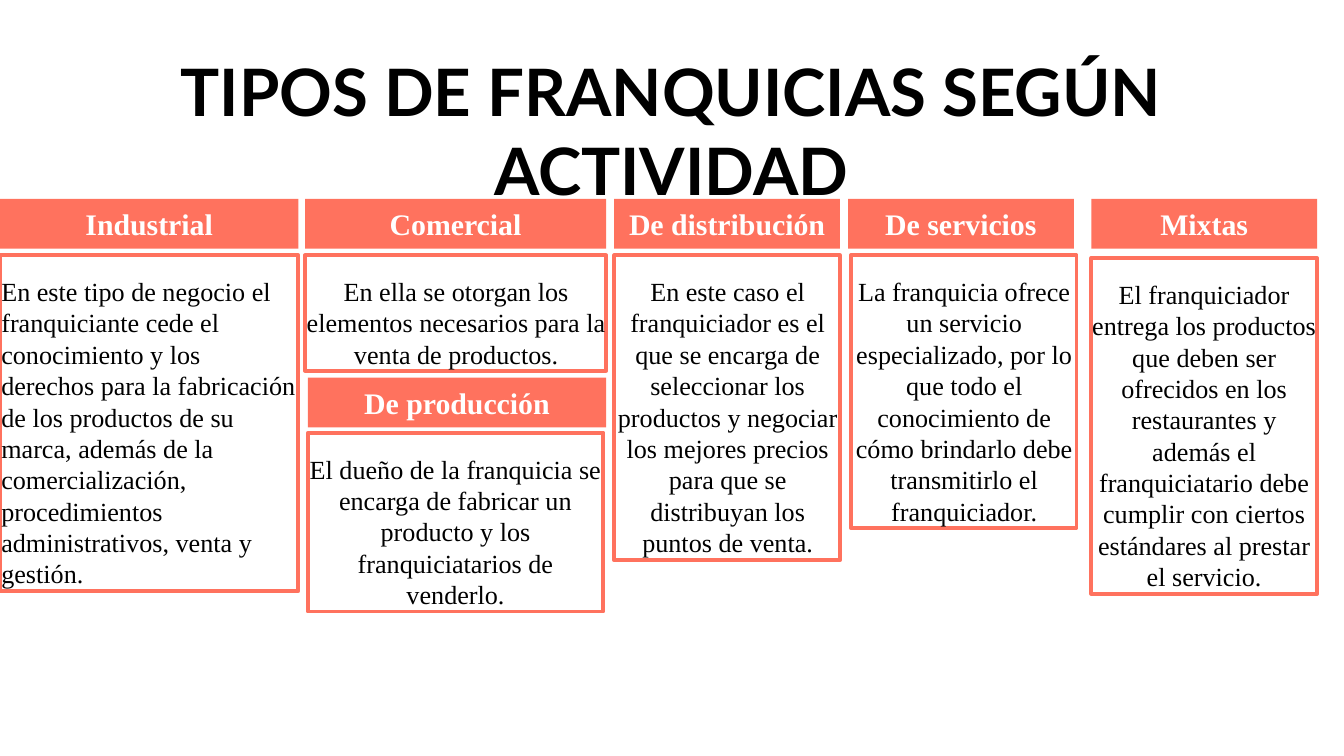
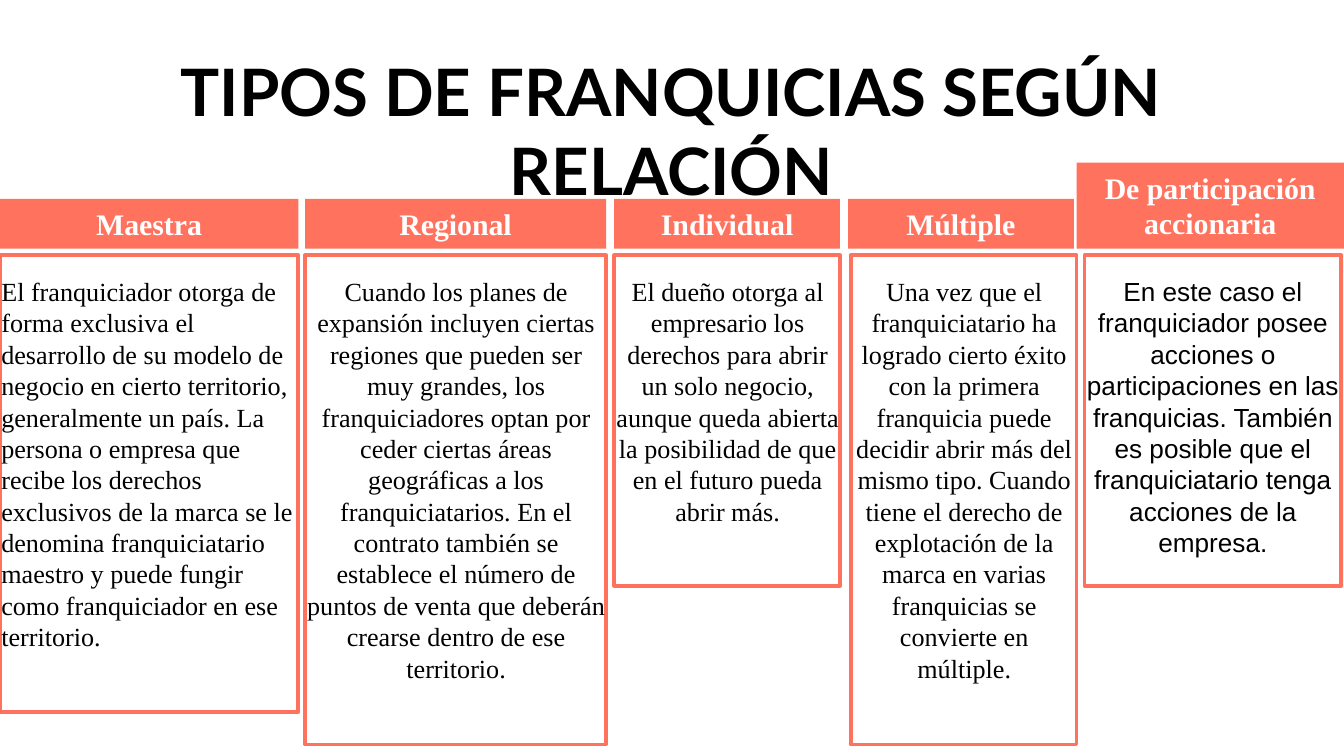
from dataclasses import dataclass

from pptx import Presentation
from pptx.dml.color import RGBColor
from pptx.enum.shapes import MSO_SHAPE
from pptx.enum.text import MSO_ANCHOR, MSO_AUTO_SIZE, PP_ALIGN
from pptx.util import Pt

PX = 9144
WIDE = 1000
RATIO = (16, 9)
TITLE = (65, 72, 869, 49)
HEAD = (148, 37)
TOP = 190


@dataclass(frozen=True)
class Theme:
    coral: RGBColor = RGBColor(0xFF, 0x72, 0x5E)
    white: RGBColor = RGBColor(0xFF, 0xFF, 0xFF)
    black: RGBColor = RGBColor(0, 0, 0)
    sans: str = "Lato"
    serif: str = "Times New Roman"
    plain: str = "Arial"
    title: int = 35
    head: int = 16
    body: int = 14
    edge: int = 2


@dataclass
class Card:
    name: str
    text: str
    col: str
    high: int
    top: int = TOP
    head: tuple = HEAD
    font: str = Theme.serif
    inset: int = 1


COLS = {
    "one": ((0, 222), (0, 222)),
    "two": ((227, 224), (227, 224)),
    "low": ((229, 222), (229, 220)),
    "three": ((457, 168), (457, 168)),
    "four": ((631, 168), (633, 168)),
    "five": ((812, 168), (812, 168)),
    "wide": ((801, 199), (807, 191)),
}

SLIDES = [
    ("TIPOS DE FRANQUICIAS SEGÚN ACTIVIDAD", [
        Card("Industrial",
             "En este tipo de negocio el franquiciante cede el conocimiento y los "
             "derechos para la fabricación de los productos de su marca, además de la "
             "comercialización, procedimientos administrativos, venta y gestión.",
             "one", 250),
        Card("Comercial",
             "En ella se otorgan los elementos necesarios para la venta de productos.",
             "two", 86),
        Card("De producción",
             "El dueño de la franquicia se encarga de fabricar un producto y los "
             "franquiciatarios de venderlo.",
             "low", 133, top=322, head=(281, 37), inset=0),
        Card("De distribución",
             "En este caso el franquiciador es el que se encarga de seleccionar los "
             "productos y negociar los mejores precios para que se distribuyan los "
             "puntos de venta.",
             "three", 227),
        Card("De servicios",
             "La franquicia ofrece un servicio especializado, por lo que todo el "
             "conocimiento de cómo brindarlo debe transmitirlo el franquiciador.",
             "four", 203),
        Card("Mixtas",
             "El franquiciador entrega los productos que deben ser ofrecidos en los "
             "restaurantes y además el franquiciatario debe cumplir con ciertos "
             "estándares al prestar el servicio.",
             "five", 250, top=192, inset=0),
    ]),
    ("TIPOS DE FRANQUICIAS SEGÚN RELACIÓN", [
        Card("Maestra",
             "El franquiciador otorga de forma exclusiva el desarrollo de su modelo de "
             "negocio en cierto territorio, generalmente un país. La persona o empresa "
             "que recibe los derechos exclusivos de la marca se le denomina "
             "franquiciatario maestro y puede fungir como franquiciador en ese "
             "territorio.",
             "one", 340),
        Card("Regional",
             "Cuando los planes de expansión incluyen ciertas regiones que pueden ser "
             "muy grandes, los franquiciadores optan por ceder ciertas áreas "
             "geográficas a los franquiciatarios. En el contrato también se establece "
             "el número de puntos de venta que deberán crearse dentro de ese "
             "territorio.",
             "two", 364),
        Card("Individual",
             "El dueño otorga al empresario los derechos para abrir un solo negocio, "
             "aunque queda abierta la posibilidad de que en el futuro pueda abrir más.",
             "three", 246),
        Card("Múltiple",
             "Una vez que el franquiciatario ha logrado cierto éxito con la primera "
             "franquicia puede decidir abrir más del mismo tipo. Cuando tiene el "
             "derecho de explotación de la marca en varias franquicias se convierte en "
             "múltiple.",
             "four", 364),
        Card("De participación accionaria",
             "En este caso el franquiciador posee acciones o participaciones en las "
             "franquicias. También es posible que el franquiciatario tenga acciones de "
             "la empresa.",
             "wide", 246, head=(121, 64), font=Theme.plain, inset=0),
    ]),
]


def scale(box):
    """Turn px lengths into EMU."""
    return [n * PX for n in box]


def write(shape, text, font, size, color, pads, bold=False, align=PP_ALIGN.CENTER):
    """Fill a shape with one styled paragraph and return it."""
    frame = shape.text_frame
    frame.text = text
    frame.word_wrap = True
    frame.vertical_anchor = MSO_ANCHOR.TOP
    (frame.margin_left, frame.margin_top,
     frame.margin_right, frame.margin_bottom) = scale(pads)
    para = frame.paragraphs[0]
    para.alignment = align
    face = para.runs[0].font
    face.name, face.size, face.bold = font, Pt(size), bold
    face.color.rgb = color
    return para


def add_title(slide, text, theme):
    """Place the slide title."""
    box = slide.shapes.add_textbox(*scale(TITLE))
    write(box, text, theme.sans, theme.title, theme.black, (10, 10, 10, 10), True)
    box.text_frame.vertical_anchor = MSO_ANCHOR.MIDDLE


def add_rect(slide, box, fill):
    """Place a flat rectangle that grows with its text."""
    rect = slide.shapes.add_shape(MSO_SHAPE.RECTANGLE, *scale(box))
    rect.shadow.inherit = False
    rect.fill.solid()
    rect.fill.fore_color.rgb = fill
    rect.line.fill.background()
    rect.text_frame.auto_size = MSO_AUTO_SIZE.SHAPE_TO_FIT_TEXT
    return rect


def add_card(slide, card, theme):
    """Place the heading band and the framed text of one card."""
    (left, wide), (start, span) = COLS[card.col]
    body = add_rect(slide, (start, card.top, span, card.high), theme.white)
    body.line.color.rgb = theme.coral
    body.line.width = Pt(theme.edge)
    align = PP_ALIGN.LEFT if card.col == "one" else PP_ALIGN.CENTER
    para = write(body, card.text, card.font, theme.body, theme.black,
                 (0, 15, 0, 0), align=align)
    if card.inset:
        para._p.get_or_add_pPr().set("marL", str(card.inset * PX))
    top, high = card.head
    band = add_rect(slide, (left, top, wide, high), theme.coral)
    write(band, card.name, theme.serif, theme.head, theme.white, (10, 5, 10, 5), True)


def main():
    """Build and save the deck."""
    theme = Theme()
    deck = Presentation()
    deck.slide_width = WIDE * PX
    deck.slide_height = deck.slide_width * RATIO[1] // RATIO[0]
    for title, cards in SLIDES:
        slide = deck.slides.add_slide(deck.slide_layouts[6])
        add_title(slide, title, theme)
        for card in cards:
            add_card(slide, card, theme)
    deck.save("out.pptx")


if __name__ == "__main__":
    main()
